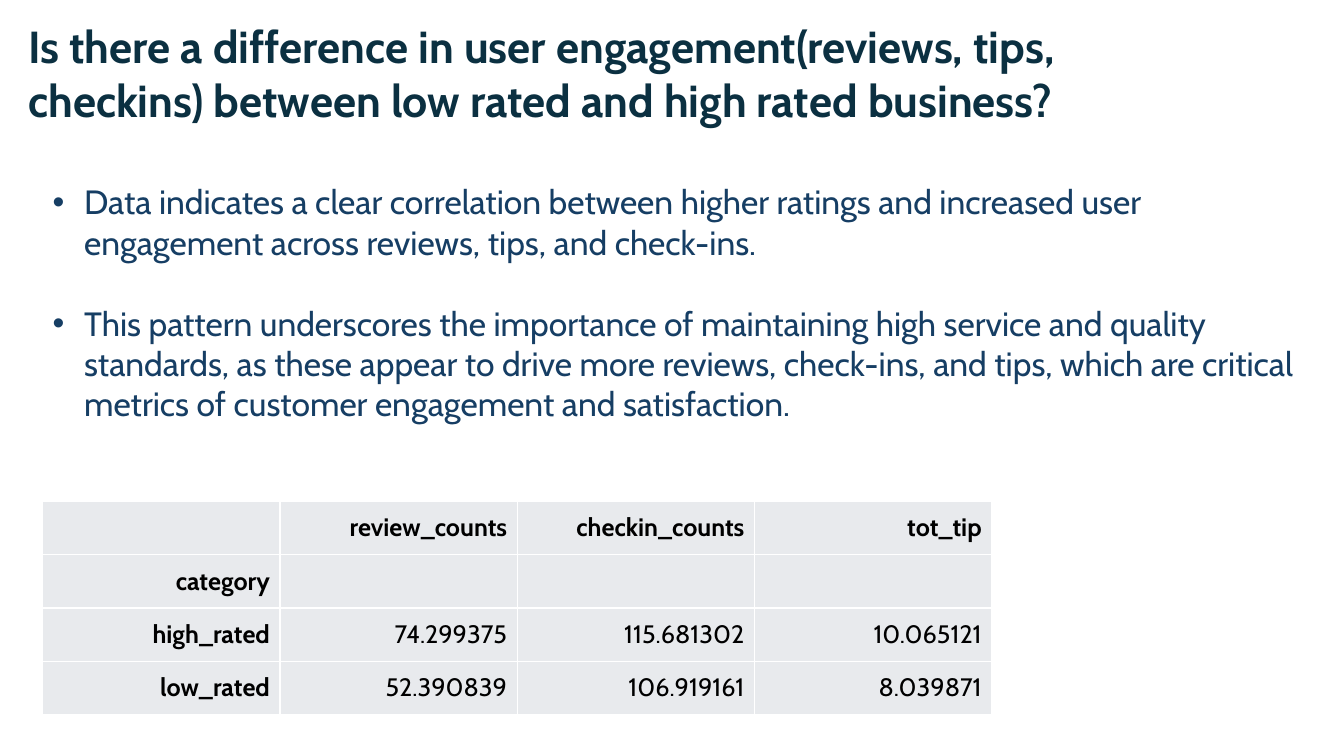
from dataclasses import dataclass

import lxml.etree
import pptx
import pptx.dml.color
import pptx.enum.text
import pptx.oxml.ns
import pptx.util

Pt = pptx.util.Pt
Align = pptx.enum.text.PP_ALIGN
Anchor = pptx.enum.text.MSO_ANCHOR
qn = pptx.oxml.ns.qn


@dataclass(frozen=True)
class Theme:
    font: str = "Cabin"
    title_color: str = "0B3041"
    body_color: str = "163E64"
    table_color: str = "000000"
    cell_fill: str = "E8EAED"
    border: str = "FFFFFF"
    title_size: int = 32
    body_size: int = 24
    table_size: int = 18


THEME = Theme()

TITLE = [
    "Is there a difference in user engagement(reviews, tips,",
    "checkins) between low rated and high rated business?",
]
FINDINGS = [
    "Data indicates a clear correlation between higher ratings and increased "
    "user engagement across reviews, tips, and check-ins.",
    "This pattern underscores the importance of maintaining high service and "
    "quality standards, as these appear to drive more reviews, check-ins, and "
    "tips, which are critical metrics of customer engagement and satisfaction.",
]
ENGAGEMENT = [
    ["", "review_counts", "checkin_counts", "tot_tip"],
    ["category", "", "", ""],
    ["high_rated", "74.299375", "115.681302", "10.065121"],
    ["low_rated", "52.390839", "106.919161", "8.039871"],
]


def rgb(value):
    return pptx.dml.color.RGBColor.from_string(value)


def write_text(text_frame, lines, *, size, color, bold=False,
               align=Align.LEFT, gap=0, bullet_indent=0):
    text_frame.word_wrap = True
    for index, line in enumerate(lines):
        paragraph = text_frame.paragraphs[0] if index == 0 else text_frame.add_paragraph()
        paragraph.alignment = align
        paragraph.line_spacing = 1.0
        paragraph.space_before = Pt(gap if index else 0)
        if bullet_indent:
            add_bullet(paragraph, bullet_indent)
        run = paragraph.add_run()
        run.text = line
        run.font.name = THEME.font
        run.font.size = Pt(size)
        run.font.bold = bold
        run.font.color.rgb = rgb(color)


def add_bullet(paragraph, indent):
    properties = paragraph._p.get_or_add_pPr()
    properties.set("marL", str(Pt(indent)))
    properties.set("indent", str(-Pt(indent)))
    lxml.etree.SubElement(properties, qn("a:buFont"), typeface="Arial")
    lxml.etree.SubElement(properties, qn("a:buChar"), char="•")


def add_title(slide, left, top, width, height):
    title = slide.shapes.title
    title.left, title.top, title.width, title.height = map(Pt, (left, top, width, height))
    title.text_frame.auto_size = pptx.enum.text.MSO_AUTO_SIZE.NONE
    title.text_frame.vertical_anchor = Anchor.TOP
    write_text(title.text_frame, TITLE, size=THEME.title_size,
               color=THEME.title_color, bold=True)


def add_findings(slide, left, top, width, height):
    textbox = slide.shapes.add_textbox(Pt(left), Pt(top), Pt(width), Pt(height))
    write_text(textbox.text_frame, FINDINGS, size=THEME.body_size,
               color=THEME.body_color, gap=29, bullet_indent=22.5)


def style_cell(cell):
    properties = cell._tc.get_or_add_tcPr()
    for side in ("a:lnL", "a:lnR", "a:lnT", "a:lnB"):
        line = lxml.etree.SubElement(properties, qn(side), w=str(Pt(1)))
        fill = lxml.etree.SubElement(line, qn("a:solidFill"))
        lxml.etree.SubElement(fill, qn("a:srgbClr"), val=THEME.border)
    cell.fill.solid()
    cell.fill.fore_color.rgb = rgb(THEME.cell_fill)
    cell.vertical_anchor = Anchor.MIDDLE


def add_engagement_table(slide, left, top, width, height):
    table = slide.shapes.add_table(
        len(ENGAGEMENT), len(ENGAGEMENT[0]), Pt(left), Pt(top), Pt(width), Pt(height)
    ).table
    table.first_row = False
    table.horz_banding = False
    for row_index, values in enumerate(ENGAGEMENT):
        for column_index, value in enumerate(values):
            cell = table.cell(row_index, column_index)
            style_cell(cell)
            if value:
                write_text(cell.text_frame, [value], size=THEME.table_size,
                           color=THEME.table_color, align=Align.RIGHT,
                           bold=row_index == 0 or column_index == 0)


def main():
    presentation = pptx.Presentation()
    presentation.slide_width = Pt(960)
    presentation.slide_height = Pt(540)
    slide = presentation.slides.add_slide(presentation.slide_layouts[5])
    add_title(slide, 13, 10, 934.5, 85)
    add_engagement_table(slide, 30.5, 358, 678, 152.6)
    add_findings(slide, 30.5, 126, 917, 181.5)
    presentation.save("out.pptx")


if __name__ == "__main__":
    main()
